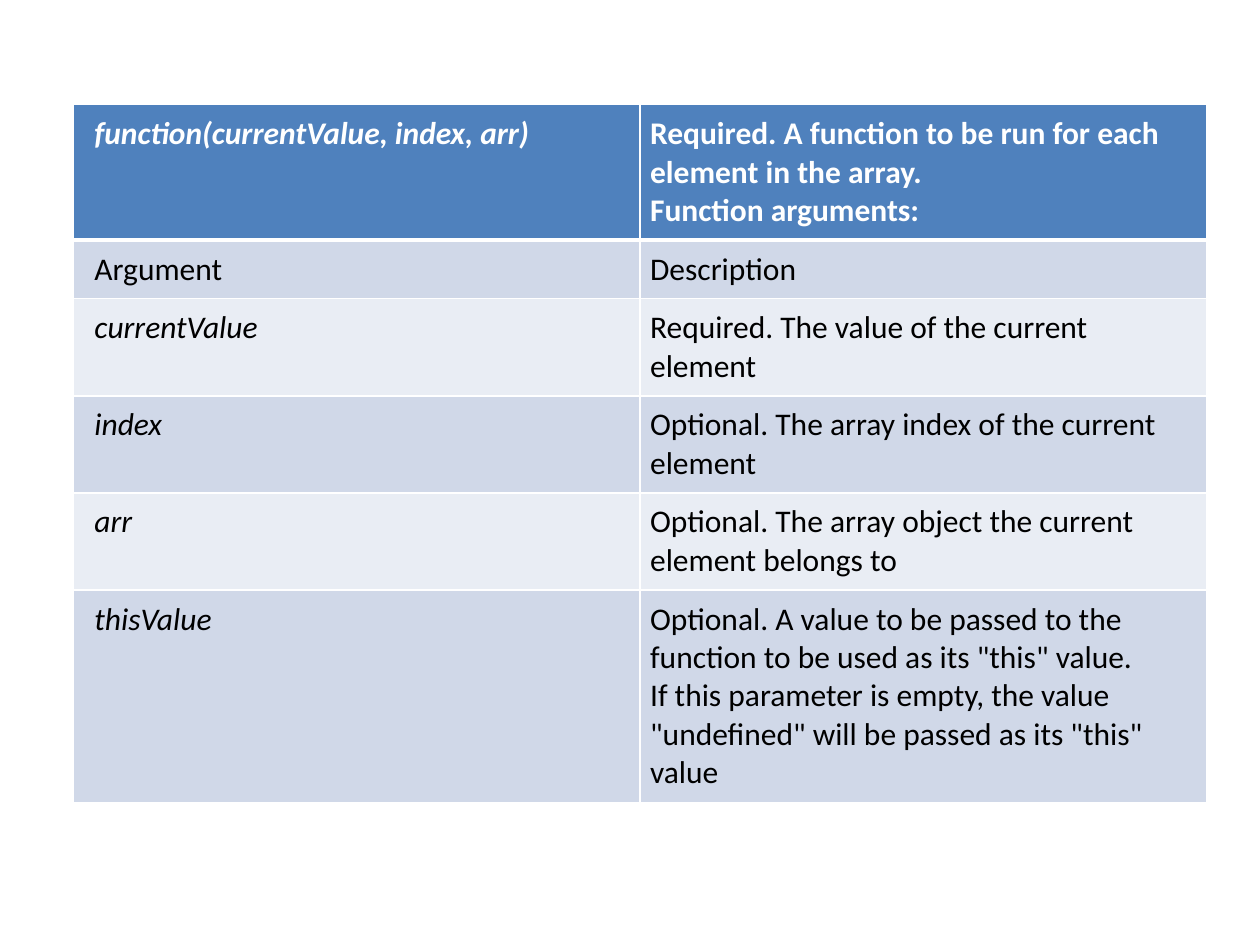
from dataclasses import dataclass
from typing import NamedTuple

from lxml import etree
from pptx import Presentation
from pptx.dml.color import RGBColor
from pptx.oxml.ns import qn
from pptx.util import Inches, Pt


@dataclass(frozen=True)
class Theme:
    font: str = "Calibri"
    size: int = 18
    header_fill: str = "4F81BD"
    header_text: str = "FFFFFF"
    body_text: str = "000000"
    bands: tuple[str, str] = ("D0D8E8", "E9EDF4")
    border: str = "FFFFFF"
    thin: int = 1
    thick: int = 3


class Parameter(NamedTuple):
    name: str
    description: str
    italic_name: bool = True


THEME = Theme()
SLIDE_WIDTH, SLIDE_HEIGHT = Inches(10), Inches(7.5)
TABLE_BOX = (Inches(0.58), Inches(0.83), Inches(9), Inches(5.5))
ROW_HEIGHT = Inches(0.41)  # rows grow to fit their text
PADDING = Inches(0.08)
NAME_INDENT = Inches(0.17)

PARAMETERS = [
    Parameter(
        "function(currentValue, index, arr)",
        "Required. A function to be run for each element in the array.\n"
        "Function arguments:",
    ),
    Parameter("Argument", "Description", italic_name=False),
    Parameter("currentValue", "Required. The value of the current element"),
    Parameter("index", "Optional. The array index of the current element"),
    Parameter("arr", "Optional. The array object the current element belongs to"),
    Parameter(
        "thisValue",
        'Optional. A value to be passed to the function to be used as its "this" value.\n'
        'If this parameter is empty, the value "undefined" will be passed as its "this" value',
    ),
]


def set_borders(cell, widths: dict[str, int]) -> None:
    """Draw the cell's sides; called before the fill to keep the XML order."""
    properties = cell._tc.get_or_add_tcPr()
    for side, width in widths.items():
        line = etree.SubElement(properties, qn(f"a:ln{side}"), w=str(Pt(width)))
        fill = etree.SubElement(line, qn("a:solidFill"))
        etree.SubElement(fill, qn("a:srgbClr"), val=THEME.border)


def fill_cell(cell, text: str, row: int, indent: int, italic: bool) -> None:
    is_header = row == 0
    set_borders(cell, {
        "L": THEME.thin,
        "R": THEME.thin,
        "T": THEME.thick if row == 1 else THEME.thin,
        "B": THEME.thick if is_header else THEME.thin,
    })
    background = THEME.header_fill if is_header else THEME.bands[(row - 1) % 2]
    cell.fill.solid()
    cell.fill.fore_color.rgb = RGBColor.from_string(background)

    margins = {"left": indent, "top": PADDING, "right": PADDING, "bottom": PADDING}
    for side, margin in margins.items():
        setattr(cell, f"margin_{side}", margin)

    para = cell.text_frame.paragraphs[0]
    para.text = text.replace("\n", "\v")
    style = {
        "name": THEME.font,
        "size": Pt(THEME.size),
        "bold": is_header,
        "italic": italic,
    }
    color = THEME.header_text if is_header else THEME.body_text
    for span in para.runs:
        for attribute, value in style.items():
            setattr(span.font, attribute, value)
        span.font.color.rgb = RGBColor.from_string(color)


def add_parameter_table(page, parameters: list[Parameter]) -> None:
    frame = page.shapes.add_table(len(parameters), 2, *TABLE_BOX)
    table = frame.table
    for row, parameter in enumerate(parameters):
        table.rows[row].height = ROW_HEIGHT
        fill_cell(table.cell(row, 0), parameter.name, row, NAME_INDENT,
                  parameter.italic_name)
        fill_cell(table.cell(row, 1), parameter.description, row, PADDING, False)
    frame.height = TABLE_BOX[3]


def main() -> None:
    deck = Presentation()
    deck.slide_width, deck.slide_height = SLIDE_WIDTH, SLIDE_HEIGHT
    page = deck.slides.add_slide(deck.slide_layouts[6])
    add_parameter_table(page, PARAMETERS)
    deck.save("out.pptx")


if __name__ == "__main__":
    main()
